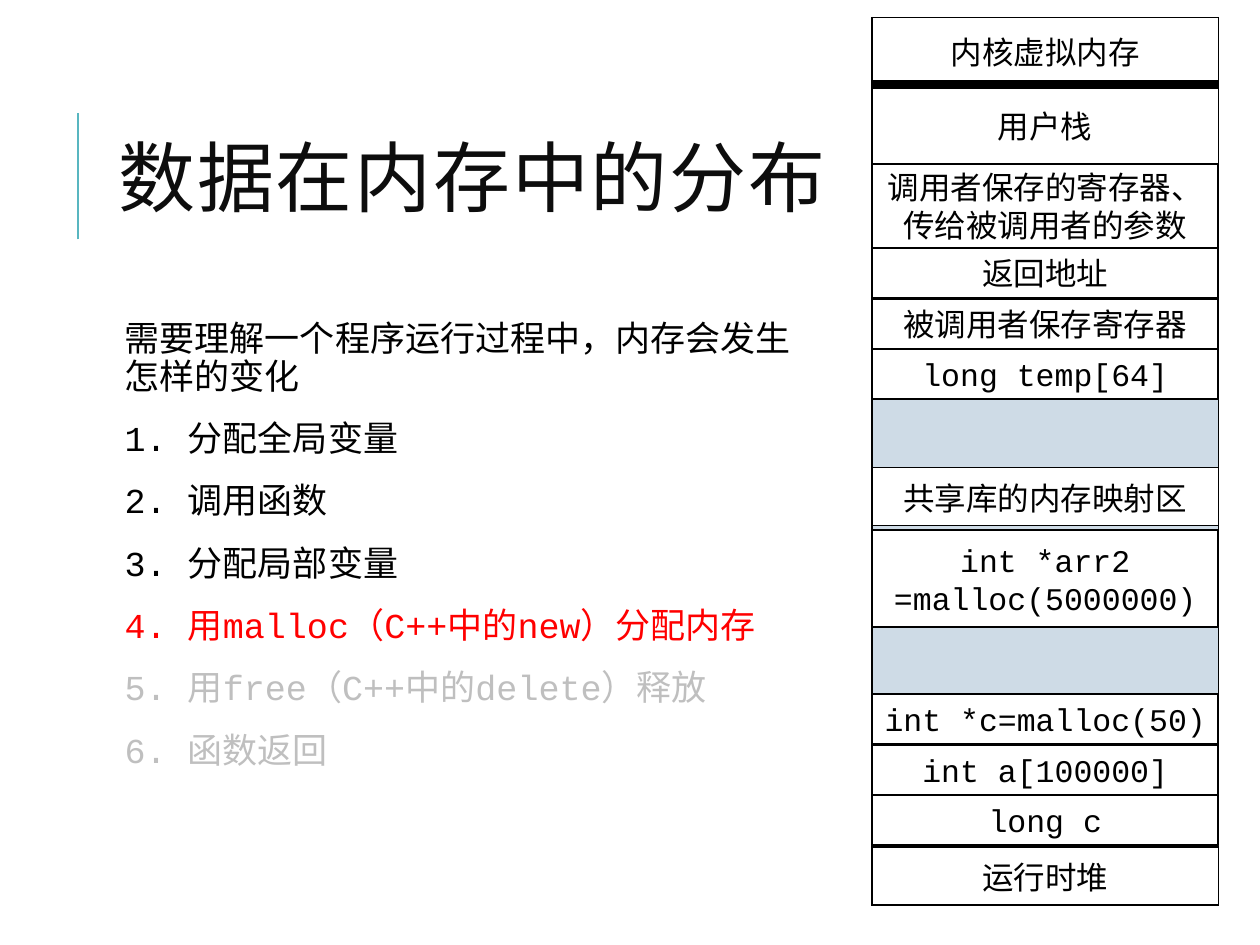
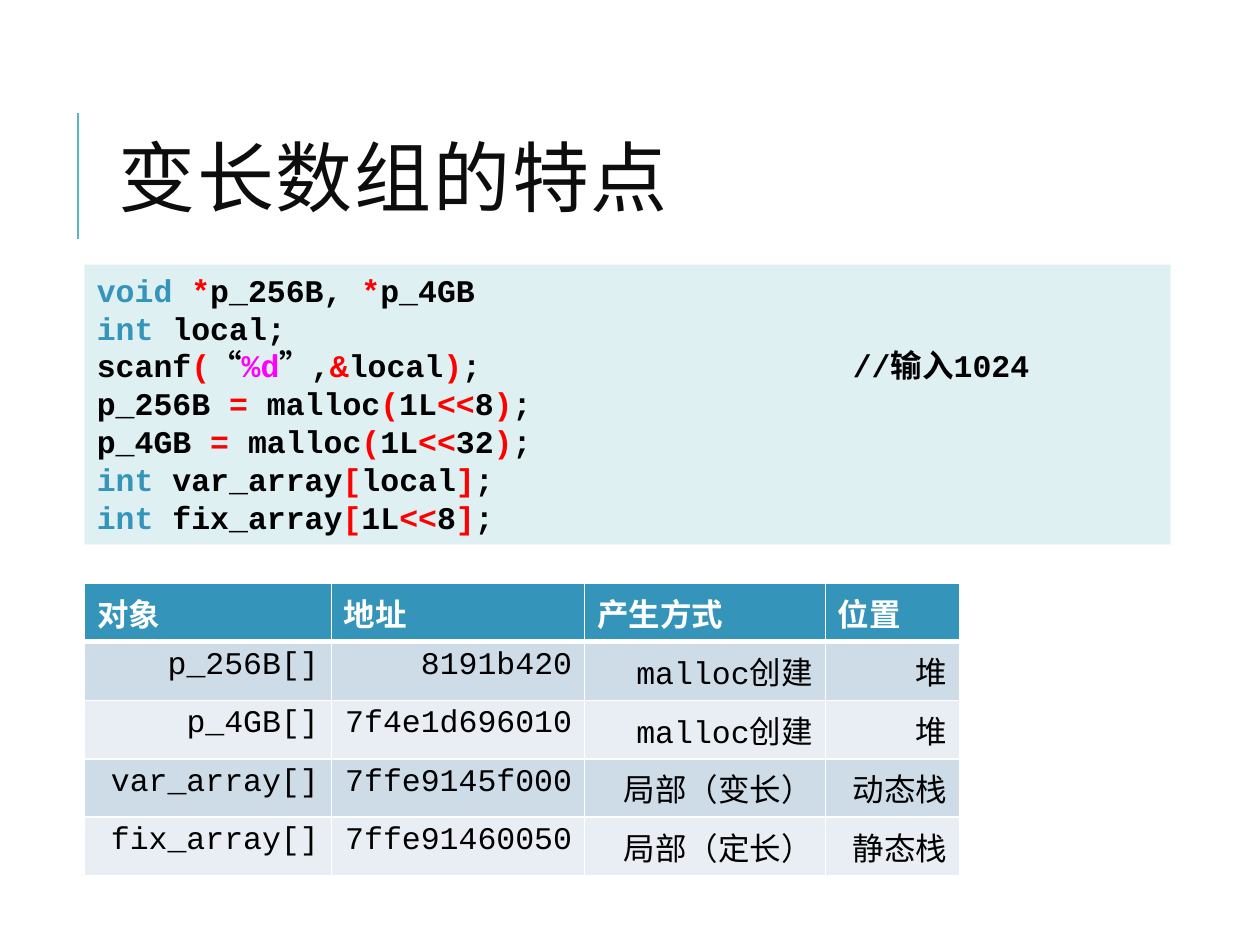
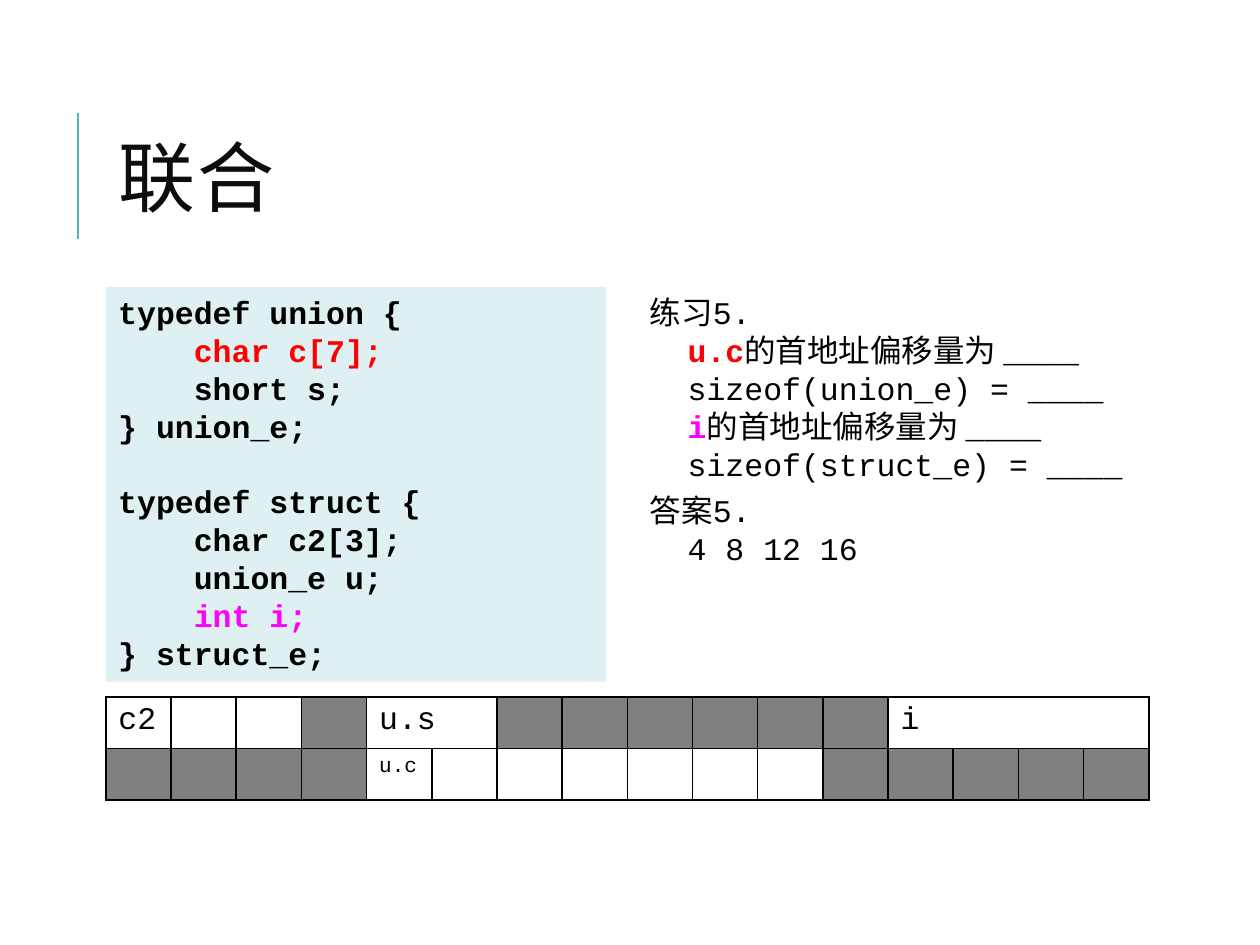
from lxml import etree
from pptx import Presentation
from pptx import util as u
from pptx.dml.color import RGBColor
from pptx.enum import shapes, text
from pptx.oxml.ns import qn

COLORS = {
    "black": "000000", "white": "FFFFFF", "title": "0D0D0D", "accent": "58B6C0",
    "blue": "3494BA", "red": "FF0000", "magenta": "FF00FF", "faded": "BFBFBF",
    "code": "DEF0F2", "free": "CEDBE6", "odd_row": "CEDCE7", "even_row": "E8EEF3",
    "padding": "808080",
}
RGB = {name: RGBColor.from_string(value) for name, value in COLORS.items()}
FONT = "Courier New"
LEFT, CENTER, RIGHT = text.PP_ALIGN.LEFT, text.PP_ALIGN.CENTER, text.PP_ALIGN.RIGHT
MIDDLE, TOP = text.MSO_ANCHOR.MIDDLE, text.MSO_ANCHOR.TOP


def write_text(frame, lines, size=18, color="black", bold=False, align=LEFT):
    """Fill a text frame; a line is a list of strings or (string, color) runs."""
    frame.word_wrap = True
    for index, line in enumerate(lines):
        paragraph = frame.paragraphs[0] if index == 0 else frame.add_paragraph()
        paragraph.alignment = align
        for part in line:
            content, run_color = (part, color) if isinstance(part, str) else part
            run = paragraph.add_run()
            run.text = content
            run_format = {"name": FONT, "size": u.Pt(size), "bold": bold}
            for name, value in run_format.items():
                setattr(run.font, name, value)
            run.font.color.rgb = RGB[run_color]


def format_cell(cell, fill, border, top=1, bottom=1):
    """Set the fill (None for none) and the border color and widths in points."""
    if fill:
        cell.fill.solid()
        cell.fill.fore_color.rgb = RGB[fill]
    else:
        cell.fill.background()
    properties = cell._tc.get_or_add_tcPr()
    widths = {"lnL": 1, "lnR": 1, "lnT": top, "lnB": bottom}
    for position, (side, width) in enumerate(widths.items()):
        line = etree.Element(qn(f"a:{side}"), w=str(u.Pt(width)))
        solid = etree.SubElement(line, qn("a:solidFill"))
        etree.SubElement(solid, qn("a:srgbClr"), val=COLORS[border])
        properties.insert(position, line)


presentation = Presentation()
presentation.slide_width = u.Inches(10)
presentation.slide_height = u.Inches(7.5)

# Slides with their titles and accent lines
slides = []
for title_text in ("数据在内存中的分布", "变长数组的特点", "联合"):
    slide = presentation.slides.add_slide(presentation.slide_layouts[5])
    slides.append(slide)
    accent = slide.shapes.add_connector(
        shapes.MSO_CONNECTOR.STRAIGHT,
        u.Inches(0.62), u.Inches(1.9), u.Inches(0.62), u.Inches(0.9))
    accent.line.color.rgb = RGB["accent"]
    accent.line.width = u.Pt(1.5)
    etree.SubElement(accent._element.spPr, qn("a:effectLst"))

    title = slide.shapes.title
    place = {"left": 0.84, "top": 0.64, "width": 7.97, "height": 1.64}
    for name, value in place.items():
        setattr(title, name, u.Inches(value))
    write_text(title.text_frame, [[title_text]], 44, "title")
    title.text_frame.auto_size = text.MSO_AUTO_SIZE.NONE
    title.text_frame.vertical_anchor = MIDDLE
    paragraph = title.text_frame.paragraphs[0]
    paragraph.line_spacing = 0.8
    paragraph.runs[0].font._element.set("spc", "100")
memory_slide, array_slide, union_slide = slides

# Bare tables: slide, left, top, column widths, row heights
tables = []
for slide, left, top, widths, heights in (
    (memory_slide, 6.92, 0.14, [2.75], [0.53, 0.64, 2.4, 0.44, 2.55, 0.42]),
    (array_slide, 0.67, 4.63, [1.96, 2.01, 1.91, 1.07], [0.41] * 5),
    (union_slide, 0.84, 5.53, [8.28 / 16] * 16, [0.41] * 2),
):
    table = slide.shapes.add_table(
        len(heights), len(widths), u.Inches(left), u.Inches(top),
        u.Inches(sum(widths)), u.Inches(sum(heights))).table
    table.first_row = table.horz_banding = False
    for column, width in zip(table.columns, widths):
        column.width = u.Inches(width)
    for row, height in zip(table.rows, heights):
        row.height = u.Inches(height)
    tables.append(table)
memory_table, address_table, layout_table = tables

# Code boxes
array_code = [
    [("void ", "blue"), ("*", "red"), "p_256B, ", ("*", "red"), "p_4GB"],
    [("int", "blue"), " local;"],
    ["scanf", ("(", "red"), "“", ("%d", "magenta"), "”,", ("&", "red"), "local",
     (")", "red"), ";\t//输入1024"],
]
for pointer, shift in (("p_256B", "8"), ("p_4GB", "32")):
    array_code.append([f"{pointer} ", ("= ", "red"), "malloc", ("(", "red"), "1L",
                       ("<<", "red"), shift, (")", "red"), ";"])
for array, length in (("var_array", ["local"]), ("fix_array", ["1L", ("<<", "red"), "8"])):
    array_code.append([("int ", "blue"), array, ("[", "red"), *length, ("]", "red"), ";"])
union_code = [
    ["typedef union {"],
    ["    ", ("char c[7];", "red")],
    ["    short s;"],
    ["} union_e;"],
    [""],
    ["typedef struct {"],
    ["    char c2[3];"],
    ["    union_e u;"],
    ["    ", ("int i;", "magenta")],
    ["} struct_e;"],
]
for slide, place, code in (
    (array_slide, (0.67, 2.1, 8.62, 2.22), array_code),
    (union_slide, (0.84, 2.28, 3.97, 3.13), union_code),
):
    box = slide.shapes.add_shape(shapes.MSO_SHAPE.RECTANGLE, *map(u.Inches, place))
    box.shadow.inherit = False
    box.fill.solid()
    box.fill.fore_color.rgb = RGB["code"]
    box.line.fill.background()
    box.text_frame.vertical_anchor = TOP
    write_text(box.text_frame, code, bold=True)
    for paragraph in box.text_frame.paragraphs:
        if "\t" in paragraph.text:
            tabs = etree.SubElement(paragraph._p.get_or_add_pPr(), qn("a:tabLst"))
            etree.SubElement(tabs, qn("a:tab"), pos=str(u.Inches(6)), algn="l")

# Slide 1: steps of a program run
steps = memory_slide.shapes.add_textbox(*map(u.Inches, (0.84, 2.5, 5.6, 4.4)))
for side in ("left", "top", "right", "bottom"):
    setattr(steps.text_frame, f"margin_{side}", u.Inches(0.05))
write_text(steps.text_frame, [
    ["需要理解一个程序运行过程中，内存会发生怎样的变化"],
    ["1. 分配全局变量"],
    ["2. 调用函数"],
    ["3. 分配局部变量"],
    [("4. 用malloc（C++中的new）分配内存", "red")],
    [("5. 用free（C++中的delete）释放", "faded")],
    [("6. 函数返回", "faded")],
], 20)
for index, paragraph in enumerate(steps.text_frame.paragraphs):
    paragraph._p.get_or_add_pPr().set("marL", str(u.Inches(0.1)))
    spacing = {"line_spacing": 0.9, "space_before": u.Pt(12 if index else 0),
               "space_after": u.Pt(2)}
    for name, value in spacing.items():
        setattr(paragraph, name, value)

# Slide 1: memory regions, with the blocks allocated in them
regions = ["内核虚拟内存", "用户栈", None, "共享库的内存映射区", None, "运行时堆"]
for index, region in enumerate(regions):
    cell = memory_table.cell(index, 0)
    format_cell(cell, None if region else "free", "black",
                top=6 if index == 1 else 1, bottom=6 if index == 0 else 1)
    cell.vertical_anchor = MIDDLE
    if region:
        write_text(cell.text_frame, [[region]], align=CENTER)

for top, blocks in (
    (1.3, [(0.67, ["调用者保存的寄存器、传给被调用者的参数"]), (0.4, ["返回地址"]),
           (0.4, ["被调用者保存寄存器"]), (0.4, ["long temp[64]"])]),
    (4.21, [(0.77, ["int *arr2", "=malloc(5000000)"])]),
    (5.51, [(0.4, ["int *c=malloc(50)"]), (0.4, ["int a[100000]"]), (0.4, ["long c"])]),
):
    for height, lines in blocks:
        block = memory_slide.shapes.add_shape(
            shapes.MSO_SHAPE.RECTANGLE, *map(u.Inches, (6.92, top, 2.75, height)))
        block.shadow.inherit = False
        block.fill.solid()
        block.fill.fore_color.rgb = RGB["white"]
        block.line.color.rgb = RGB["black"]
        block.line.width = u.Pt(1.25)
        block.text_frame.margin_left = block.text_frame.margin_right = u.Inches(0.05)
        block.text_frame.vertical_anchor = MIDDLE
        write_text(block.text_frame, [[line] for line in lines], align=CENTER)
        top += height

# Slide 2: where each object lives
addresses = [
    ("对象", "地址", "产生方式", "位置"),
    ("p_256B[]", "8191b420", "malloc创建", "堆"),
    ("p_4GB[]", "7f4e1d696010", "malloc创建", "堆"),
    ("var_array[]", "7ffe9145f000", "局部（变长）", "动态栈"),
    ("fix_array[]", "7ffe91460050", "局部（定长）", "静态栈"),
]
for row, values in enumerate(addresses):
    for column, value in enumerate(values):
        cell = address_table.cell(row, column)
        if row == 0:
            format_cell(cell, "blue", "white", bottom=3)
            write_text(cell.text_frame, [[value]], color="white", bold=True)
        else:
            format_cell(cell, "odd_row" if row % 2 else "even_row", "white",
                        top=3 if row == 1 else 1)
            write_text(cell.text_frame, [[value]], align=RIGHT)

# Slide 3: byte layout, "#" marks padding
for row, pattern in enumerate(("...#..######....", "####.......#####")):
    for column, mark in enumerate(pattern):
        format_cell(layout_table.cell(row, column),
                    "padding" if mark == "#" else "white", "black")
for row, column, span, label, size in (
    (0, 0, 1, "c2", 18), (0, 4, 2, "u.s", 18), (0, 12, 4, "i", 18), (1, 4, 1, "u.c", 12),
):
    cell = layout_table.cell(row, column)
    if span > 1:
        cell.merge(layout_table.cell(row, column + span - 1))
    write_text(cell.text_frame, [[label]], size)

# Slide 3: exercise and answer
for place, lines in (
    ((5.06, 2.28, 4.13, 1.62), [
        ["练习5."],
        [("u.c", "red"), "的首地址偏移量为 ____"],
        ["sizeof(union_e) = ____"],
        [("i", "magenta"), "的首地址偏移量为 ____"],
        ["sizeof(struct_e) = ____"],
    ]),
    ((5.06, 3.85, 3.37, 0.71), [["答案5."], ["4 8 12 16"]]),
):
    box = union_slide.shapes.add_textbox(*map(u.Inches, place))
    write_text(box.text_frame, lines)
    for paragraph in box.text_frame.paragraphs[1:]:
        paragraph._p.get_or_add_pPr().set("marL", str(u.Inches(0.3)))
        paragraph.runs[0].font.bold = len(paragraph.runs) > 1

presentation.save("out.pptx")
